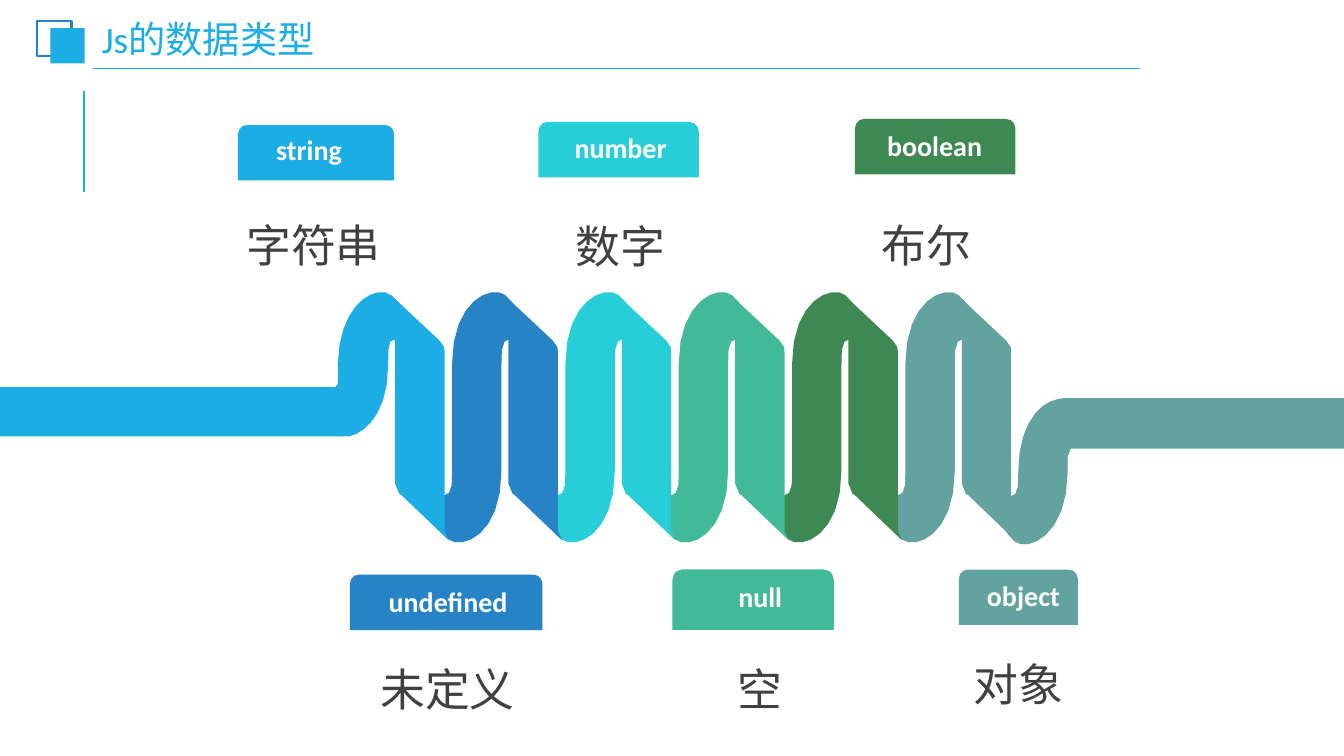
from dataclasses import dataclass
from math import ceil, dist

from lxml.etree import SubElement
from pptx import Presentation
from pptx.dml.color import RGBColor
from pptx.enum.shapes import MSO_CONNECTOR, MSO_SHAPE
from pptx.enum.text import MSO_ANCHOR, MSO_AUTO_SIZE, PP_ALIGN
from pptx.oxml.ns import qn
from pptx.util import Emu, Pt

PX = 9144  # EMU in one px, 100 px to the inch


@dataclass(frozen=True)
class Theme:
    font: str = "Calibri"
    sky: str = "1CADE4"
    blue: str = "2683C6"
    cyan: str = "27CED7"
    mint: str = "42BA97"
    green: str = "3E8853"
    sage: str = "62A39F"
    ink: str = "404040"
    white: str = "FFFFFF"
    title: float = 26.6
    tag: float = 20
    name: float = 32


def px(*values):
    return [Emu(round(v * PX)) for v in values]


def apply(target, formats):
    for key, value in formats.items():
        setattr(target, key, value)


def flatten(start, steps, dx=0, chord=12):
    """Turn line steps (x, y) and cubic steps (six numbers) into points."""
    points = [start]
    for step in steps:
        if len(step) == 2:
            points.append(step)
            continue
        x0, y0 = points[-1]
        x1, y1, x2, y2, x3, y3 = step
        count = max(1, ceil(dist((x0, y0), (x3, y3)) / chord))
        for i in range(1, count + 1):
            t = i / count
            u = 1 - t
            a, b, c, d = u ** 3, 3 * u * u * t, 3 * u * t * t, t ** 3
            points.append((a * x0 + b * x1 + c * x2 + d * x3,
                           a * y0 + b * y1 + c * y2 + d * y3))
    return [(x + dx, y) for x, y in points]


class Deck:
    def __init__(self, theme, width, height):
        self.theme = theme
        self.prs = Presentation()
        self.prs.slide_width, self.prs.slide_height = px(width, height)
        self.s = self.prs.slides.add_slide(self.prs.slide_layouts[6])

    def paint(self, sp, fill=None, line=None, weight=1.5):
        sp.shadow.inherit = False
        if fill:
            sp.fill.solid()
            sp.fill.fore_color.rgb = RGBColor.from_string(fill)
        else:
            sp.fill.background()
        if line:
            sp.line.color.rgb = RGBColor.from_string(line)
            sp.line.width = Pt(weight)
        else:
            sp.line.fill.background()

    def shape(self, kind, box, **style):
        self.paint(self.s.shapes.add_shape(kind, *px(*box)), **style)

    def line(self, ends, color, weight):
        cx = self.s.shapes.add_connector(MSO_CONNECTOR.STRAIGHT, *px(*ends))
        cx.line.color.rgb = RGBColor.from_string(color)
        cx.line.width = Pt(weight)
        SubElement(cx._element.spPr, qn("a:effectLst"))

    def ribbon(self, outline, color, dx=0):
        first, *rest = [px(*pt) for pt in flatten(*outline, dx=dx)]
        builder = self.s.shapes.build_freeform(*first)
        builder.add_line_segments(rest, close=True)
        self.paint(builder.convert_to_shape(), fill=color)

    def text(self, box, words, size, color, bold=False, frame=None, para=None):
        tf = self.s.shapes.add_textbox(*px(*box)).text_frame
        apply(tf, {"word_wrap": True, "auto_size": MSO_AUTO_SIZE.SHAPE_TO_FIT_TEXT}
              | (frame or {}))
        p = tf.paragraphs[0]
        apply(p, {"alignment": PP_ALIGN.CENTER} | (para or {}))
        r = p.add_run()
        r.text = words
        apply(r.font, {"name": self.theme.font, "size": Pt(size), "bold": bold})
        r.font.color.rgb = RGBColor.from_string(color)


# Ribbon outlines in px; the coil is given at its first turn
PITCH = 112.4
BEND = ((385, 467), [
    (385, 362), (385, 350, 385, 342, 388, 339), (397, 330, 406, 335, 408, 328),
    (411, 319, 397, 300, 389, 293), (376, 282, 336, 297, 336, 361), (336, 467),
    (336, 479, 336, 486, 333, 489), (324, 498, 315, 494, 313, 500),
    (310, 509, 324, 528, 332, 535), (346, 546, 385, 531, 385, 467)])
SLANT = ((441, 527), [
    (441, 349), (441, 347, 441, 342, 436, 338), (388, 293),
    (389, 293, 392, 297, 392, 302), (392, 480), (392, 481, 392, 486, 396, 490),
    (398, 491), (445, 536), (444, 535, 441, 532, 441, 527)])
LEAD_IN = ((375, 290), [
    (380, 289, 385, 290, 388, 293), (397, 300, 411, 319, 408, 328),
    (406, 335, 397, 330, 387, 339), (385, 342, 385, 350, 385, 362),
    (385, 410, 362, 430, 346, 433), (-4, 433), (-4, 384), (333, 384), (335, 381),
    (336, 377, 335, 370, 335, 362), (336, 314, 358, 293, 375, 290)])
LEAD_OUT = ((1055, 395), [
    (1399, 395), (1405, 395, 1411, 401, 1411, 407), (1411, 433),
    (1411, 440, 1405, 445, 1399, 445), (1062, 445),
    (1058, 448, 1059, 456, 1059, 468), (1059, 532, 1019, 548, 1006, 537),
    (998, 529, 984, 511, 987, 501), (989, 495, 998, 499, 1007, 490),
    (1010, 488, 1010, 480, 1010, 468), (1010, 420, 1032, 399, 1049, 396)])


def main():
    th = Theme()
    deck = Deck(th, 1333, 750)

    # Header
    deck.line((83, 190, 83, 90), th.sky, 1.5)
    deck.line((92, 68, 1131, 68), th.sky, 1.25)
    deck.shape(MSO_SHAPE.RECTANGLE, (37, 21, 34, 35), line=th.blue)
    deck.shape(MSO_SHAPE.RECTANGLE, (50, 28, 34, 35), fill=th.sky)
    side, edge = px(7, 4)
    deck.text((94, 23, 393, 37), "Js的数据类型", th.title, th.sky,
              frame={"auto_size": MSO_AUTO_SIZE.NONE,
                     "vertical_anchor": MSO_ANCHOR.MIDDLE,
                     "margin_left": side, "margin_right": side,
                     "margin_top": edge, "margin_bottom": edge},
              para={"alignment": PP_ALIGN.LEFT, "line_spacing": 0.9})

    # Coiled ribbon, stacked from the right end to the left
    coil = [th.sky, th.blue, th.cyan, th.mint, th.green, th.sage]
    deck.ribbon(LEAD_OUT, th.sage)
    for turn, color in reversed(list(enumerate(coil))):
        if turn:
            deck.ribbon(BEND, color, turn * PITCH)
        else:
            deck.ribbon(LEAD_IN, color)
        deck.ribbon(SLANT, color, turn * PITCH)

    # Data types: tag box, tag text box, alignment, name position
    center, right = PP_ALIGN.CENTER, PP_ALIGN.RIGHT
    types = [
        ("string", "字符串", th.sky, (236, 124, 155, 55), (229, 127, 155, 44), center, (180, 195)),
        ("undefined", "未定义", th.blue, (347, 570, 191, 55), (351, 575, 187, 44), center, (313, 636)),
        ("number", "数字", th.cyan, (534, 121, 159, 55), (529, 125, 173, 44), center, (484, 196)),
        ("null", "空", th.mint, (667, 565, 160, 60), (674, 570, 160, 48), center, (623, 636)),
        ("boolean", "布尔", th.green, (848, 118, 159, 55), (831, 123, 153, 44), right, (788, 195)),
        ("object", "对象", th.sage, (951, 565, 118, 55), (956, 569, 118, 44), center, (879, 631)),
    ]
    for tag, name, color, tag_box, text_box, align, name_at in types:
        deck.shape(MSO_SHAPE.ROUND_2_SAME_RECTANGLE, tag_box, fill=color)
        deck.text(text_box, tag, th.tag, th.white, bold=True, para={"alignment": align})
        deck.text((*name_at, 262, 75), name, th.name, th.ink, para={"line_spacing": 1.3})

    deck.prs.save("out.pptx")


if __name__ == "__main__":
    main()
